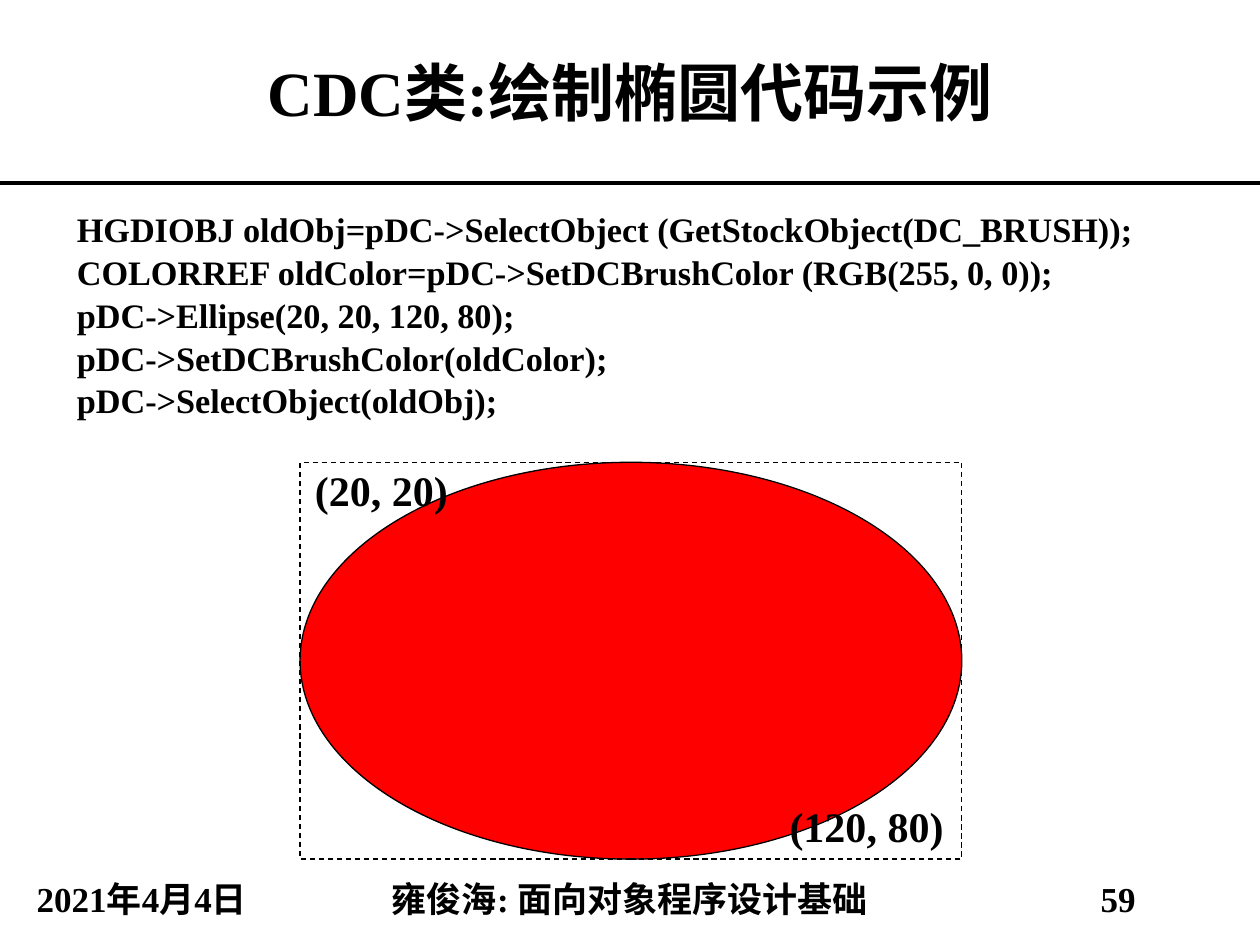
from dataclasses import dataclass

from lxml.etree import SubElement
from pptx import Presentation
from pptx.dml.color import RGBColor
from pptx.enum.dml import MSO_LINE
from pptx.enum.lang import MSO_LANGUAGE_ID
from pptx.enum.shapes import MSO_CONNECTOR, MSO_SHAPE
from pptx.enum.text import MSO_ANCHOR, PP_ALIGN
from pptx.oxml.ns import qn
from pptx.util import Cm, Pt


@dataclass(frozen=True)
class Theme:
    font: str = "Times New Roman"
    ink: RGBColor = RGBColor(0, 0, 0)
    ellipse: RGBColor = RGBColor(255, 0, 0)
    title: float = 36
    code: float = 19.6
    label: float = 24
    footer: float = 20
    rule: float = 2.25
    outline: float = 0.75


THEME = Theme()
WIDTH, HEIGHT = 25.4, 19.05
TITLE_H = 3.68

CODE = """HGDIOBJ oldObj=pDC->SelectObject (GetStockObject(DC_BRUSH));
COLORREF oldColor=pDC->SetDCBrushColor (RGB(255, 0, 0));
pDC->Ellipse(20, 20, 120, 80);
pDC->SetDCBrushColor(oldColor);
pDC->SelectObject(oldObj);"""


def add_text(shapes, text, box, size, align=PP_ALIGN.CENTER,
             anchor=MSO_ANCHOR.MIDDLE, spacing=None, margins=(0.25, 0.13)):
    sp = shapes.add_textbox(*map(Cm, box))
    tf = sp.text_frame
    tf.word_wrap = True
    tf.vertical_anchor = anchor
    tf.margin_left = tf.margin_right = Cm(margins[0])
    tf.margin_top = tf.margin_bottom = Cm(margins[1])
    tf.text = text
    for p in tf.paragraphs:
        p.alignment = align
        p.line_spacing = spacing
        for r in p.runs:
            r.font.name = THEME.font
            r.font.size = Pt(size)
            r.font.bold = True
            r.font.color.rgb = THEME.ink
            r.font.language_id = MSO_LANGUAGE_ID.SIMPLIFIED_CHINESE
    return sp


def add_header(shapes, box):
    x, y, w, h = box
    add_text(shapes, "CDC类:绘制椭圆代码示例", box, THEME.title)
    rule = shapes.add_connector(
        MSO_CONNECTOR.STRAIGHT, Cm(x), Cm(y + h), Cm(x + w), Cm(y + h))
    rule.line.color.rgb = THEME.ink
    rule.line.width = Pt(THEME.rule)
    SubElement(rule._element.spPr, qn("a:effectLst"))


def add_code(shapes, box):
    add_text(shapes, CODE, box, THEME.code, align=PP_ALIGN.JUSTIFY,
             anchor=MSO_ANCHOR.TOP, spacing=1.04)


def add_outline(shapes, kind, box, fill=None, dash=None):
    s = shapes.add_shape(kind, *map(Cm, box))
    s.shadow.inherit = False
    if fill is None:
        s.fill.background()
    else:
        s.fill.solid()
        s.fill.fore_color.rgb = fill
    s.line.color.rgb = THEME.ink
    s.line.width = Pt(THEME.outline)
    s.line.dash_style = dash


def add_ellipse_figure(shapes, box):
    x, y, w, h = box
    label_w, label_h = w / 2, 0.99
    group = shapes.add_group_shape().shapes
    add_outline(group, MSO_SHAPE.OVAL, box, fill=THEME.ellipse)
    add_outline(group, MSO_SHAPE.RECTANGLE, box, dash=MSO_LINE.DASH)
    corners = (
        ("(20, 20)", x + 0.3, y + 0.05, PP_ALIGN.JUSTIFY),
        ("(120, 80)", x + w - 0.37 - label_w, y + h - 0.2 - label_h,
         PP_ALIGN.RIGHT),
    )
    for text, left, top, align in corners:
        add_text(group, text, (left, top, label_w, label_h), THEME.label,
                 align=align, anchor=MSO_ANCHOR.TOP, margins=(0, 0))


def add_footer(shapes, box):
    x, y, w, h = box
    side = 5.72
    parts = (
        ("2021年4月4日", side),
        ("雍俊海: 面向对象程序设计基础", w - 2 * side),
        ("59", side),
    )
    for text, width in parts:
        add_text(shapes, text, (x, y, width, h), THEME.footer, spacing=0.9)
        x += width


def main():
    prs = Presentation()
    prs.slide_width, prs.slide_height = Cm(WIDTH), Cm(HEIGHT)
    shapes = prs.slides.add_slide(prs.slide_layouts[6]).shapes
    add_header(shapes, (0, 0, WIDTH, TITLE_H))
    add_code(shapes, (1.3, 4.04, 22.83, 4.95))
    add_ellipse_figure(shapes, (6.05, 9.32, 13.34, 8))
    add_footer(shapes, (0, 17.65, WIDTH, 1.02))
    prs.save("out.pptx")


if __name__ == "__main__":
    main()
